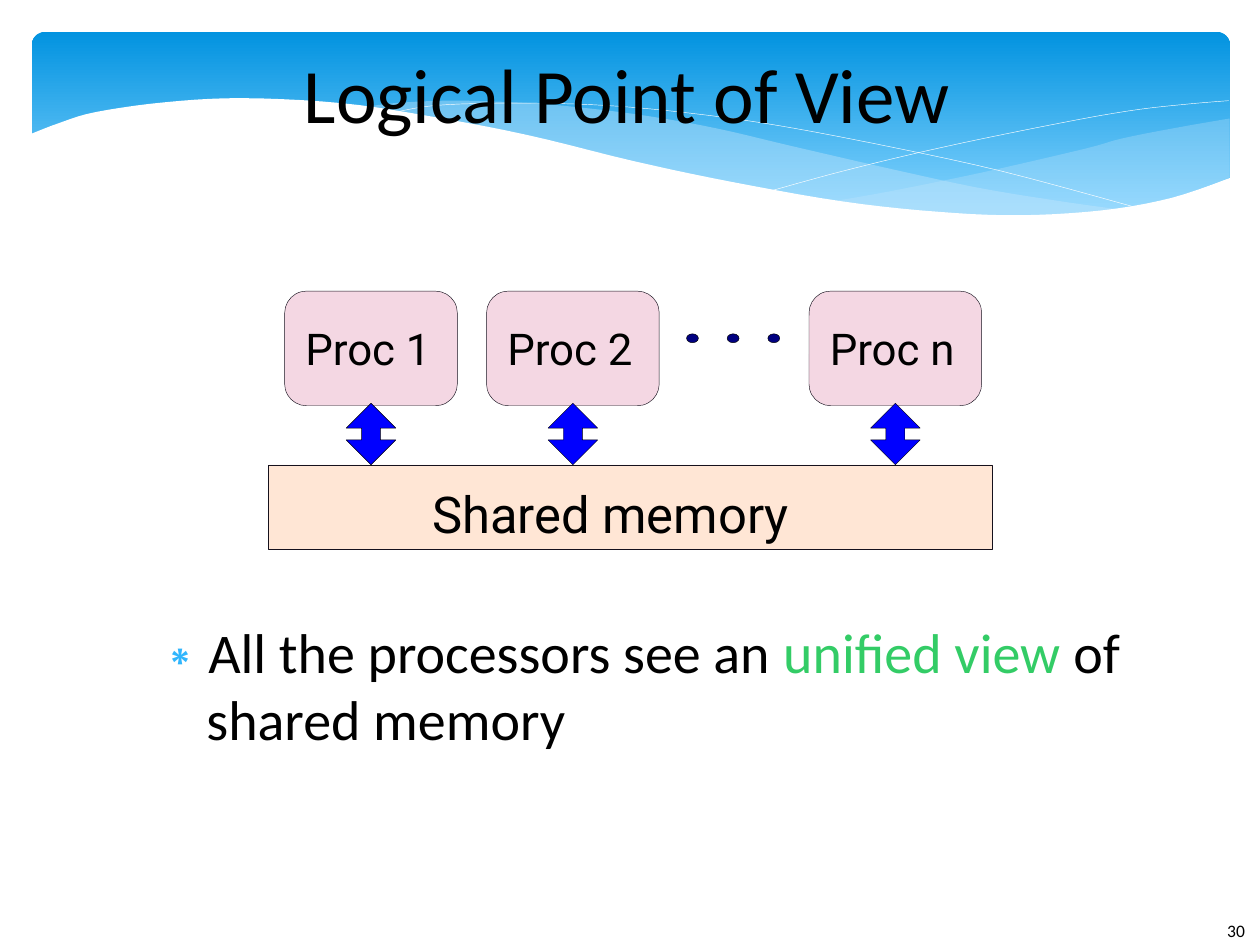
from lxml import etree
from pptx import Presentation
from pptx.dml.color import RGBColor
from pptx.enum.shapes import MSO_SHAPE
from pptx.enum.text import MSO_ANCHOR, PP_ALIGN
from pptx.oxml.ns import qn
from pptx.util import Cm, Pt

RECTANGLE = MSO_SHAPE.RECTANGLE
ROUNDED = MSO_SHAPE.ROUNDED_RECTANGLE
OVAL = MSO_SHAPE.OVAL
DOUBLE_ARROW = MSO_SHAPE.UP_DOWN_ARROW
TOP, MIDDLE = MSO_ANCHOR.TOP, MSO_ANCHOR.MIDDLE
LEFT, CENTER = PP_ALIGN.LEFT, PP_ALIGN.CENTER

HAIRLINE = Pt(0.25)
NO_INSETS = dict(margin_left=0, margin_top=0, margin_right=0, margin_bottom=0)

RIGHT_WAVE_TOP = [(24.15, 1.75), (23.11, 1.93), (21.99, 2.15), (21.23, 2.36),
                  (19.15, 2.84), (17.29, 3.22), (16.15, 3.42)]
RIGHT_WAVE_BOTTOM = [(16.15, 3.42), (17.27, 3.55), (18.59, 3.68), (19.76, 3.73),
                     (21.05, 3.68), (22.14, 3.55), (23.11, 3.32), (24.15, 2.94)]
MIDDLE_WAVE_TOP = [(22.04, 3.6), (20.62, 3.4), (19.05, 3.14), (17.29, 2.76),
                   (15.34, 2.31), (13.81, 1.95), (12.42, 1.7), (11.17, 1.54),
                   (10.03, 1.44), (8.53, 1.39), (7.31, 1.44), (6.62, 1.54)]
MIDDLE_WAVE_BOTTOM = [(6.62, 1.54), (8.05, 1.75), (9.62, 2.05), (10.76, 2.31),
                      (12.82, 2.79), (14.63, 3.17), (16.25, 3.45), (17.7, 3.63),
                      (18.99, 3.73), (20.14, 3.75), (21.13, 3.7), (22.04, 3.6)]
FALLING_LINE = [(7.21, 1.65), (8.1, 1.49), (9.55, 1.44), (11.27, 1.47), (12.9, 1.6),
                (14.8, 1.85), (17.01, 2.26), (19.55, 2.81), (22.4, 3.58)]
RISING_LINE = [(14.93, 3.2), (16.43, 2.79), (18.36, 2.33), (20.59, 1.87),
               (22.09, 1.6), (23.19, 1.47), (24.13, 1.39)]
BAND_EDGE = [(24.18, 2.94), (22.98, 3.35), (21.59, 3.6), (19.91, 3.7), (18.26, 3.63),
             (16.33, 3.42), (14.07, 3.02), (12.14, 2.61), (9.98, 2.08), (8, 1.7),
             (6.24, 1.44), (4.26, 1.34), (2.71, 1.42), (1.29, 1.62), (0.53, 1.85),
             (-0.06, 2.08)]
BELOW_BAND = [(-0.06, 5.05), (24.18, 5.05)]


def color(hex_value):
    return RGBColor.from_string(hex_value)


def apply(target, **values):
    for name, value in values.items():
        setattr(target, name, value)


def paint(shape, fill=None, line=None, alpha=None):
    shape.shadow.inherit = False
    if fill:
        shape.fill.solid()
        shape.fill.fore_color.rgb = color(fill)
    else:
        shape.fill.background()
    if alpha:
        tint = shape.fill._xPr.find(qn("a:solidFill"))[0]
        etree.SubElement(tint, qn("a:alpha"), val=str(alpha * 1000))
    if line:
        shape.line.color.rgb = color(line)
        shape.line.width = HAIRLINE
    else:
        shape.line.fill.background()


def write(para, text, size, font="Calibri", hex_value="000000"):
    span = para.add_run()
    span.text = text
    apply(span.font, size=Pt(size), name=font)
    span.font.color.rgb = color(hex_value)


def add_block(page, kind, box, fill, line):
    block = page.shapes.add_shape(kind, *map(Cm, box))
    paint(block, fill, line)
    return block


def label(block, text, size, **frame_values):
    apply(block.text_frame, **{**NO_INSETS, "word_wrap": False, **frame_values})
    para = block.text_frame.paragraphs[0]
    para.alignment = LEFT
    write(para, text, size, "Roboto")


def smooth(points, steps=5):
    padded = [points[0], *points, points[-1]]
    curve = []
    for a, b, c, d in zip(padded, padded[1:], padded[2:], padded[3:]):
        for t in (step / steps for step in range(steps)):
            curve.append(tuple(
                q + t / 2 * (r - p + t * (2 * p - 5 * q + 4 * r - s
                                          + t * (3 * (q - r) + s - p)))
                for p, q, r, s in zip(a, b, c, d)))
    return curve + [points[-1]]


def add_outline(page, box, points, closed=True, **colors):
    left, top = box[:2]
    start, *rest = [(Cm(left + x), Cm(top + y)) for x, y in points]
    builder = page.shapes.build_freeform(*start)
    builder.add_line_segments(rest, close=closed)
    paint(builder.convert_to_shape(), **colors)


def add_band(page, box):
    band = add_block(page, ROUNDED, box, "0293E0", None)
    band.adjustments[0] = 0.07
    band.fill.gradient()
    band.fill.gradient_angle = 270
    for stop, position, shade in zip(band.fill.gradient_stops, (0, 0.9),
                                     ("0293E0", "83D3FE")):
        stop.position = position
        stop.color.rgb = color(shade)
    for top, bottom, alpha in ((RIGHT_WAVE_TOP, RIGHT_WAVE_BOTTOM, 29),
                               (MIDDLE_WAVE_TOP, MIDDLE_WAVE_BOTTOM, 40)):
        add_outline(page, box, smooth(top) + smooth(bottom), fill="C6E7FC", alpha=alpha)
    for points in (FALLING_LINE, RISING_LINE):
        add_outline(page, box, smooth(points), closed=False, line="FFFFFF")
    add_outline(page, box, smooth(BAND_EDGE) + BELOW_BAND, fill="FFFFFF")


def place(holder, box):
    apply(holder, **dict(zip(("left", "top", "width", "height"), map(Cm, box))))
    apply(holder.text_frame, word_wrap=True, **NO_INSETS)
    holder._element.getparent().append(holder._element)
    return holder.text_frame.paragraphs[0]


def add_title(page, box):
    para = place(page.shapes.title, box)
    page.shapes.title.text_frame.vertical_anchor = MIDDLE
    para.alignment = CENTER
    write(para, "Logical Point of View", 44)


def add_points(page, box):
    para = place(page.placeholders[1], box)
    apply(para, space_before=Pt(0), space_after=Pt(14.1))
    props = para._p.get_or_add_pPr()
    props.set("marL", str(Cm(1.42)))
    props.set("indent", str(Cm(-1.09)))
    bullet_color = etree.SubElement(props, qn("a:buClr"))
    etree.SubElement(bullet_color, qn("a:srgbClr"), val="31B6FD")
    etree.SubElement(props, qn("a:buChar"), char="∗")
    write(para, "All the processors see an", 32)
    write(para, " unified view ", 32, hex_value="33CC66")
    write(para, "of shared memory", 32)


def add_diagram(page, box):
    left, top, width, height = box
    memory_height, proc_width, proc_height = 1.7, 3.48, 2.31
    memory_top = top + height - memory_height
    memory = add_block(page, RECTANGLE, (left, memory_top, width, memory_height),
                       "FFE6D5", "15111D")
    label(memory, "Shared memory", 29, margin_left=Cm(3.3), margin_top=Cm(0.24),
          vertical_anchor=MIDDLE)
    for name, offset in (("Proc 1", 0.33), ("Proc 2", 4.4), ("Proc n", 10.9)):
        proc_left = left + offset
        proc = add_block(page, ROUNDED, (proc_left, top, proc_width, proc_height),
                         "F4D7E3", "15111D")
        proc.adjustments[0] = 0.19
        label(proc, name, 25, margin_left=Cm(0.29), vertical_anchor=MIDDLE)
        arrow = add_block(page, DOUBLE_ARROW,
                          (proc_left + proc_width / 2 - 0.5, memory_top - 1.24, 1, 1.24),
                          "0000FF", "000000")
        arrow.adjustments[0], arrow.adjustments[1] = 0.46, 0.38
    for index in range(3):
        add_block(page, OVAL, (left + 8.43 + 0.82 * index, top + 0.86, 0.24, 0.18),
                  "000080", "000000")


def add_page_number(page, box):
    number = page.shapes.add_textbox(*map(Cm, box))
    apply(number.text_frame, word_wrap=False, vertical_anchor=TOP)
    write(number.text_frame.paragraphs[0], "30", 10)


def main():
    deck = Presentation()
    apply(deck, slide_width=Cm(25.4), slide_height=Cm(19.05))
    page = deck.slides.add_slide(deck.slide_layouts[1])
    add_band(page, (0.64, 0.64, 24.16, 3.96))
    add_page_number(page, (24.49, 18.42, 0.91, 0.63))
    add_title(page, (2.34, 0.58, 20.6, 2.59))
    add_points(page, (2.74, 12.45, 20.6, 3))
    add_diagram(page, (5.41, 5.87, 14.6, 5.2))
    deck.save("out.pptx")


if __name__ == "__main__":
    main()
